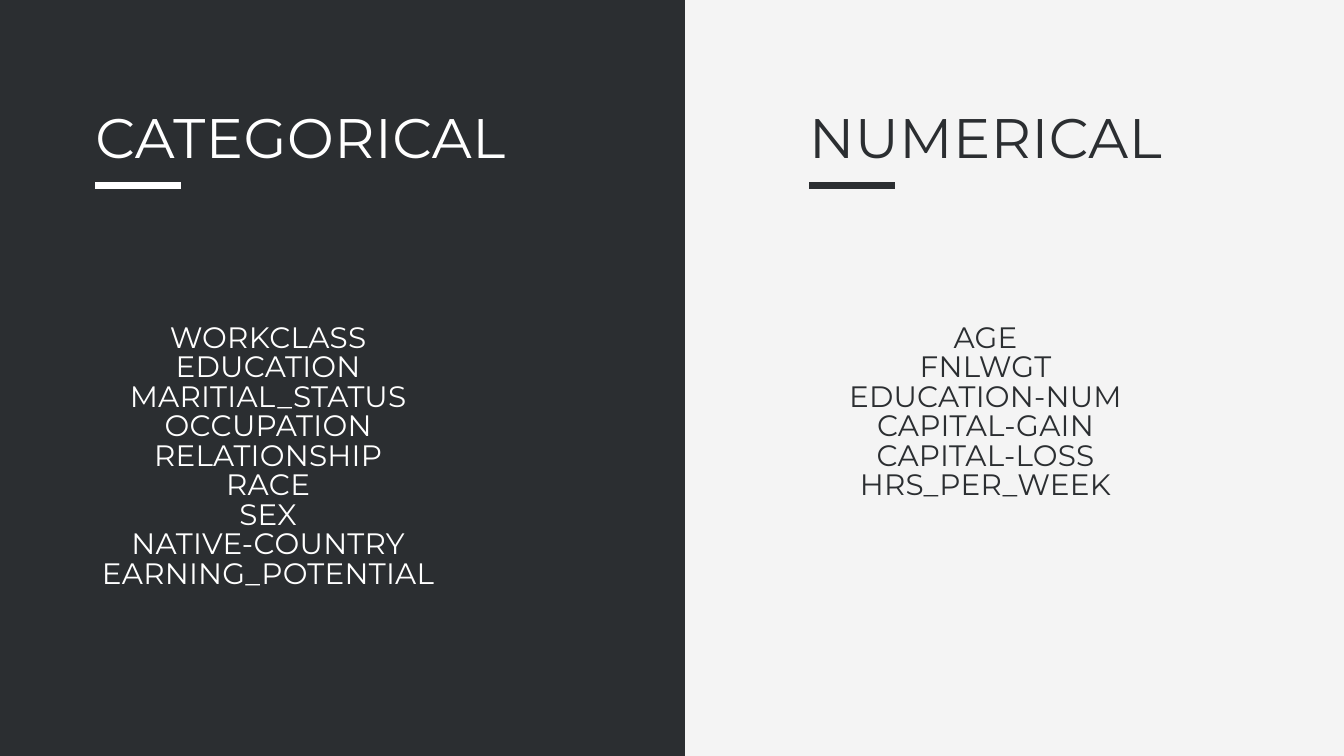
from lxml.etree import SubElement
from pptx import Presentation
from pptx.dml.color import RGBColor
from pptx.enum.shapes import MSO_CONNECTOR, MSO_SHAPE
from pptx.enum.text import MSO_AUTO_SIZE, PP_ALIGN
from pptx.oxml.ns import qn
from pptx.util import Inches, Pt

DARK = RGBColor(0x2B, 0x2E, 0x31)
LIGHT = RGBColor(0xF4, 0xF4, 0xF4)
WHITE = RGBColor(0xFF, 0xFF, 0xFF)

CATEGORICAL = [
    "WORKCLASS", "EDUCATION", "MARITIAL_STATUS", "OCCUPATION", "RELATIONSHIP",
    "RACE", "SEX", "NATIVE-COUNTRY", "EARNING_POTENTIAL",
]
NUMERICAL = [
    "AGE", "FNLWGT", "EDUCATION-NUM", "CAPITAL-GAIN", "CAPITAL-LOSS", "HRS_PER_WEEK",
]


class Deck:
    font_name = "Montserrat"
    title_size = 59.6
    list_size = 31.6

    def __init__(self, prs):
        self.s = prs.slides.add_slide(prs.slide_layouts[6])

    def background(self, color):
        fill = self.s.background.fill
        fill.solid()
        fill.fore_color.rgb = color

    def panel(self, x, y, w, h, color):
        sp = self.s.shapes.add_shape(
            MSO_SHAPE.RECTANGLE, Inches(x), Inches(y), Inches(w), Inches(h))
        sp.shadow.inherit = False
        sp.fill.solid()
        sp.fill.fore_color.rgb = color
        sp.line.fill.background()

    def rule(self, x, y, length, color):
        cx = self.s.shapes.add_connector(
            MSO_CONNECTOR.STRAIGHT, Inches(x), Inches(y), Inches(x + length), Inches(y))
        cx.line.color.rgb = color
        cx.line.width = Pt(8.25)
        SubElement(cx._element.spPr, qn("a:effectLst"))

    def text(self, x, y, w, h, lines, size, color, align):
        tf = self.s.shapes.add_textbox(
            Inches(x), Inches(y), Inches(w), Inches(h)).text_frame
        frame = {"word_wrap": True, "auto_size": MSO_AUTO_SIZE.SHAPE_TO_FIT_TEXT,
                 "margin_left": 0, "margin_right": 0, "margin_top": 0, "margin_bottom": 0}
        for name, value in frame.items():
            setattr(tf, name, value)
        for i, line in enumerate(lines):
            p = tf.paragraphs[0] if i == 0 else tf.add_paragraph()
            p.alignment = align
            p.line_spacing = Pt(size)
            r = p.add_run()
            r.text = line
            for name, value in {"name": self.font_name, "size": Pt(size)}.items():
                setattr(r.font, name, value)
            r.font.color.rgb = color
            # Letter spacing is 1% of the size, in hundredths of a point
            r._r.get_or_add_rPr().set("spc", str(int(size)))

    def column(self, x, title, list_x, list_w, items, color):
        self.text(x, 1.69, 7.5, 0.87, [title], self.title_size, color, PP_ALIGN.LEFT)
        self.rule(x, 2.76, 1.28, color)
        self.text(list_x, 4.83, list_w, 0.44 * len(items), items,
                  self.list_size, color, PP_ALIGN.CENTER)


def main():
    prs = Presentation()
    prs.slide_width, prs.slide_height = Inches(20), Inches(11.25)
    deck = Deck(prs)

    # Light background with a dark left half
    deck.background(LIGHT)
    deck.panel(0, 0, 10.19, 11.25, DARK)

    # Feature columns
    deck.column(1.42, "CATEGORICAL", 1.12, 5.74, CATEGORICAL, WHITE)
    deck.column(12.04, "NUMERICAL", 12.48, 4.37, NUMERICAL, DARK)

    prs.save("out.pptx")


if __name__ == "__main__":
    main()
